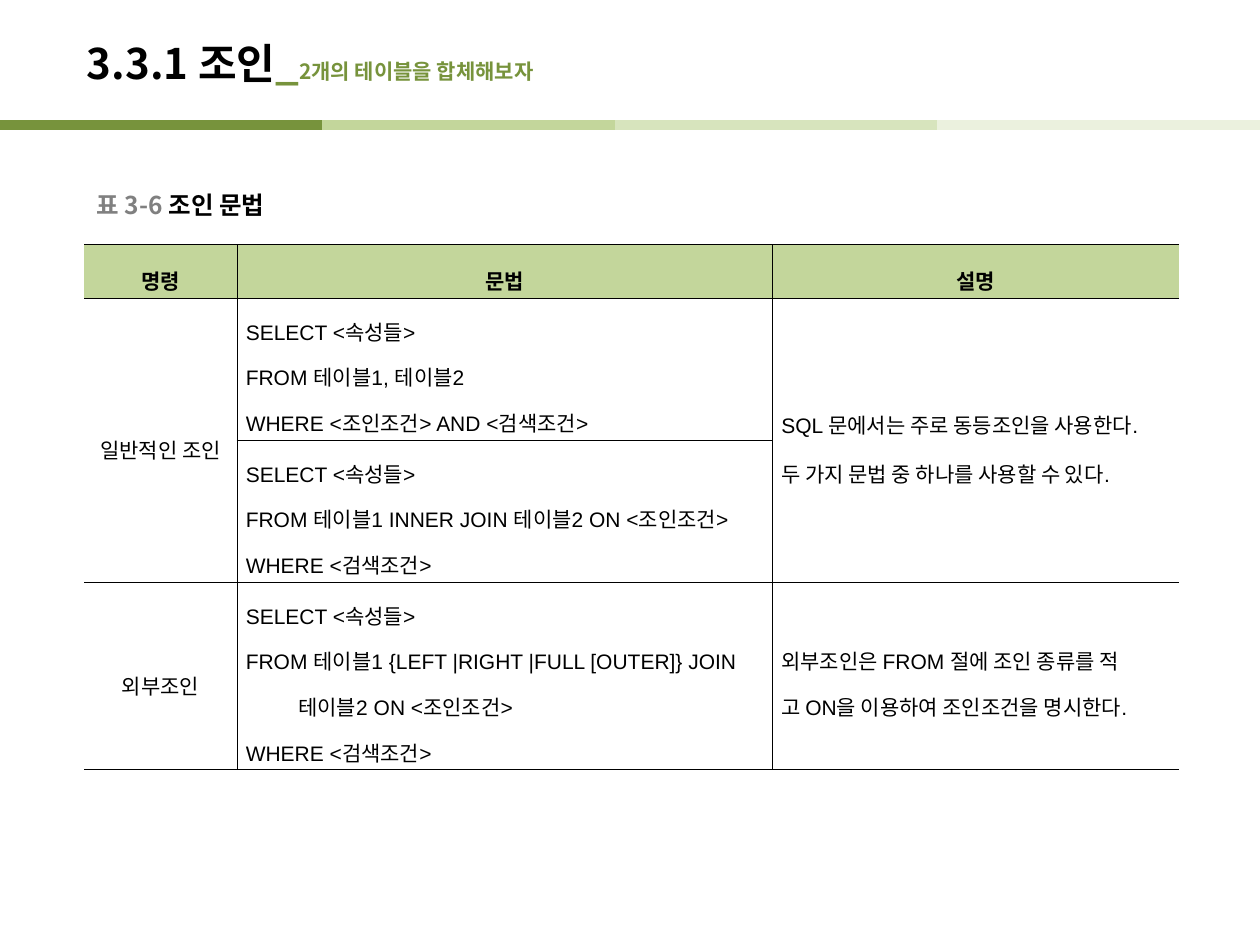
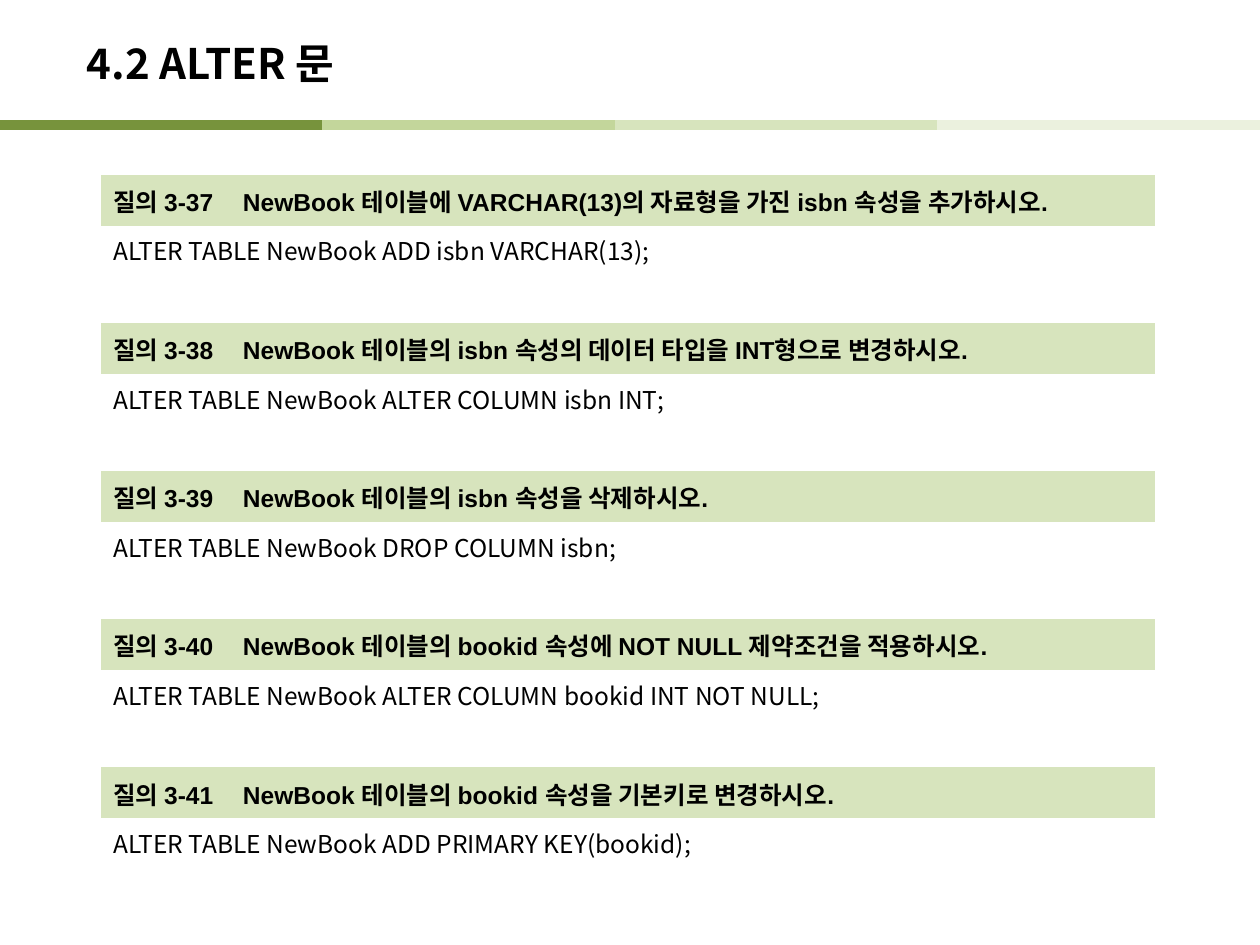
from dataclasses import dataclass

from lxml import etree
from pptx import Presentation
from pptx.dml.color import RGBColor
from pptx.enum.shapes import MSO_CONNECTOR
from pptx.enum.text import MSO_ANCHOR, MSO_AUTO_SIZE, PP_ALIGN
from pptx.oxml.ns import qn
from pptx.util import Pt

LEFT, CENTER, JUSTIFY = PP_ALIGN.LEFT, PP_ALIGN.CENTER, PP_ALIGN.JUSTIFY
MIDDLE, TOP = MSO_ANCHOR.MIDDLE, MSO_ANCHOR.TOP
NO_FIT = MSO_AUTO_SIZE.NONE
STRAIGHT = MSO_CONNECTOR.STRAIGHT
PLAIN_TABLE = "{2D5ABB26-0587-4C30-8999-92F81FD0307C}"
TITLE_ONLY = 5


@dataclass(frozen=True)
class Theme:
    black: str = "000000"
    white: str = "FFFFFF"
    gray: str = "808080"
    dark_green: str = "77933C"
    green: str = "C3D69B"
    light_green: str = "D7E4BD"
    pale_green: str = "EBF1DE"
    korean: str = "Noto Sans CJK KR"
    latin: str = "Arial"
    title_size: int = 24
    heading_size: int = 14
    cell_size: int = 12
    rule_width: float = 0.28
    band_width: float = 6


THEME = Theme()
WIDTH, HEIGHT = 720, 540
TITLE_BOX = (42.5, 14.4, 595.4, 43.2)
BAND_BOX = (0, 71.4, WIDTH, 184.3)
CAPTION_BOX = (48.2, 105.8, 150.5, 22.3)
SYNTAX_BOX = (48.2, 139.7, 625.7, 271.4)
QUERY_BOX = (57.6, 100, 602.6, 58.4)
QUERY_PITCH = 84.6

SYNTAX_COLUMNS = (87.2, 306, 232.5)
SYNTAX_ROWS = (28.8, 72.7, 72.7, 97.2)
SYNTAX_HEADINGS = ("명령", "문법", "설명")
CONTINUATION = "테이블2 ON <조인조건>"
COMMANDS = {1: "일반적인 조인", 3: "외부조인"}
STATEMENTS = {
    1: ("SELECT <속성들>", "FROM 테이블1, 테이블2",
        "WHERE <조인조건> AND <검색조건>"),
    2: ("SELECT <속성들>", "FROM 테이블1 INNER JOIN 테이블2 ON <조인조건>",
        "WHERE <검색조건>"),
    3: ("SELECT <속성들>", "FROM 테이블1 {LEFT |RIGHT |FULL [OUTER]} JOIN",
        CONTINUATION, "WHERE <검색조건>"),
}
EXPLANATIONS = {
    1: (("SQL 문에서는 주로 동등조인을 사용한다.",
         "두 가지 문법 중 하나를 사용할 수 있다."), JUSTIFY, 1.6),
    3: (("외부조인은 FROM 절에 조인 종류를 적",
         "고 ON을 이용하여 조인조건을 명시한다."), LEFT, 1.5),
}
QUERIES = (
    ("질의 3-37", "NewBook 테이블에 VARCHAR(13)의 자료형을 가진 isbn 속성을 추가하시오.",
     "ALTER TABLE NewBook ADD isbn VARCHAR(13);"),
    ("질의 3-38", "NewBook 테이블의 isbn 속성의 데이터 타입을 INT형으로 변경하시오.",
     "ALTER TABLE NewBook ALTER COLUMN isbn INT;"),
    ("질의 3-39", "NewBook 테이블의 isbn 속성을 삭제하시오.",
     "ALTER TABLE NewBook DROP COLUMN isbn;"),
    ("질의 3-40", "NewBook 테이블의 bookid 속성에 NOT NULL 제약조건을 적용하시오.",
     "ALTER TABLE NewBook ALTER COLUMN bookid INT NOT NULL;"),
    ("질의 3-41", "NewBook 테이블의 bookid 속성을 기본키로 변경하시오.",
     "ALTER TABLE NewBook ADD PRIMARY KEY(bookid);"),
)


def points(box):
    return [Pt(length) for length in box]


def assign(target, values):
    for name, value in values.items():
        setattr(target, name, value)


def add_run(paragraph, text, size, color=THEME.black, face=THEME.korean, bold=True):
    run = paragraph.add_run()
    run.text = text
    assign(run.font, {"size": Pt(size), "bold": bold, "name": face})
    run.font.color.rgb = RGBColor.from_string(color)
    east_asian = etree.SubElement(run._r.get_or_add_rPr(), qn("a:ea"))
    east_asian.set("typeface", THEME.korean)


def add_title(slide, box, parts):
    title = slide.shapes.title
    assign(title, dict(zip(("left", "top", "width", "height"), points(box))))
    assign(title.text_frame, {"vertical_anchor": MIDDLE, "auto_size": NO_FIT,
                              "word_wrap": True})
    paragraph = title.text_frame.paragraphs[0]
    paragraph.alignment = LEFT
    for text, size, color in parts:
        add_run(paragraph, text, size, color)


def add_band(slide, box):
    left, top, width, segment = box
    colors = (THEME.dark_green, THEME.green, THEME.light_green, THEME.pale_green)
    for index, color in reversed(list(enumerate(colors))):
        start = max(left, left + width - segment * (len(colors) - index))
        stripe = slide.shapes.add_connector(
            STRAIGHT, *points((start, top, start + segment, top)))
        stripe.line.width = Pt(THEME.band_width)
        stripe.line.color.rgb = RGBColor.from_string(color)
        etree.SubElement(stripe._element.spPr, qn("a:effectLst"))


def add_plain_table(slide, box, widths, heights):
    frame = slide.shapes.add_table(len(heights), len(widths), *points(box))
    table = frame.table
    assign(table, {"first_row": False, "horz_banding": False})
    table._tbl.tblPr.find(qn("a:tableStyleId")).text = PLAIN_TABLE
    for column, width in zip(table.columns, widths):
        column.width = Pt(width)
    for row, height in zip(table.rows, heights):
        row.height = Pt(height)
    return table


def fill_cell(cell, color):
    cell.fill.solid()
    cell.fill.fore_color.rgb = RGBColor.from_string(color)


def add_border(cell, sides):
    properties = cell._tc.get_or_add_tcPr()
    for side in sides:
        edge = etree.SubElement(properties, qn(f"a:ln{side}"),
                                w=str(Pt(THEME.rule_width)))
        paint = etree.SubElement(edge, qn("a:solidFill"))
        etree.SubElement(paint, qn("a:srgbClr"), val=THEME.black)


def write_cell(cell, lines, alignment=CENTER, spacing=1.6, bold=False):
    frame = cell.text_frame
    for index, line in enumerate(lines):
        paragraph = frame.add_paragraph() if index else frame.paragraphs[0]
        assign(paragraph, {"alignment": alignment, "line_spacing": spacing})
        add_run(paragraph, line, THEME.cell_size, face=THEME.latin, bold=bold)
        if line == CONTINUATION:
            paragraph._p.get_or_add_pPr().set("marL", str(Pt(30)))


def add_caption(slide, box):
    caption = slide.shapes.add_textbox(*points(box)).text_frame
    assign(caption, {"vertical_anchor": MIDDLE, "word_wrap": False})
    paragraph = caption.paragraphs[0]
    add_run(paragraph, "표 3-6 ", THEME.heading_size, THEME.gray)
    add_run(paragraph, "조인 문법", THEME.heading_size)


def add_syntax_table(slide, box):
    table = add_plain_table(slide, box, SYNTAX_COLUMNS, SYNTAX_ROWS)
    last = len(SYNTAX_COLUMNS) - 1
    margins = {"margin_left": Pt(5.1), "margin_right": Pt(5.1),
               "margin_top": Pt(1.4), "margin_bottom": Pt(1.4),
               "vertical_anchor": MIDDLE}
    for row in range(len(SYNTAX_ROWS)):
        for column in range(len(SYNTAX_COLUMNS)):
            cell = table.cell(row, column)
            assign(cell, margins)
            add_border(cell, ("L" if column else "")
                       + ("R" if column < last else "") + "TB")
    for column, heading in enumerate(SYNTAX_HEADINGS):
        write_cell(table.cell(0, column), [heading], bold=True)
        fill_cell(table.cell(0, column), THEME.green)
    for column in (0, last):
        table.cell(1, column).merge(table.cell(2, column))
    for row, command in COMMANDS.items():
        write_cell(table.cell(row, 0), [command])
    for row, statement in STATEMENTS.items():
        write_cell(table.cell(row, 1), statement, LEFT, 1.5)
    for row, explanation in EXPLANATIONS.items():
        write_cell(table.cell(row, last), *explanation)


def add_query(slide, box, number, task, statement):
    width, height = box[2:]
    table = add_plain_table(slide, box, [width], [height / 2] * 2)
    question, answer = table.cell(0, 0), table.cell(1, 0)
    fill_cell(question, THEME.light_green)
    fill_cell(answer, THEME.white)
    question.vertical_anchor, answer.vertical_anchor = MIDDLE, TOP
    paragraph = question.text_frame.paragraphs[0]
    paragraph.line_spacing = Pt(21)
    stops = etree.SubElement(paragraph._p.get_or_add_pPr(), qn("a:tabLst"))
    etree.SubElement(stops, qn("a:tab"), pos=str(Pt(74)), algn="l")
    add_run(paragraph, f"{number}\t{task}", THEME.heading_size, face=THEME.latin)
    add_run(answer.text_frame.paragraphs[0], statement, THEME.heading_size, bold=False)


def add_page(deck, title_parts):
    slide = deck.slides.add_slide(deck.slide_layouts[TITLE_ONLY])
    add_band(slide, BAND_BOX)
    add_title(slide, TITLE_BOX, title_parts)
    return slide


def build_join_slide(deck):
    slide = add_page(deck, (
        ("3.3.1 조인", THEME.title_size, THEME.black),
        ("_", THEME.title_size, THEME.dark_green),
        ("2개의 테이블을 합체해보자", THEME.cell_size, THEME.dark_green)))
    add_syntax_table(slide, SYNTAX_BOX)
    add_caption(slide, CAPTION_BOX)


def build_alter_slide(deck):
    slide = add_page(deck, [("4.2 ALTER 문", THEME.title_size, THEME.black)])
    left, top, width, height = QUERY_BOX
    for index, query in enumerate(QUERIES):
        add_query(slide, (left, top + index * QUERY_PITCH, width, height), *query)


def main():
    deck = Presentation()
    assign(deck, {"slide_width": Pt(WIDTH), "slide_height": Pt(HEIGHT)})
    build_join_slide(deck)
    build_alter_slide(deck)
    deck.save("out.pptx")


if __name__ == "__main__":
    main()
